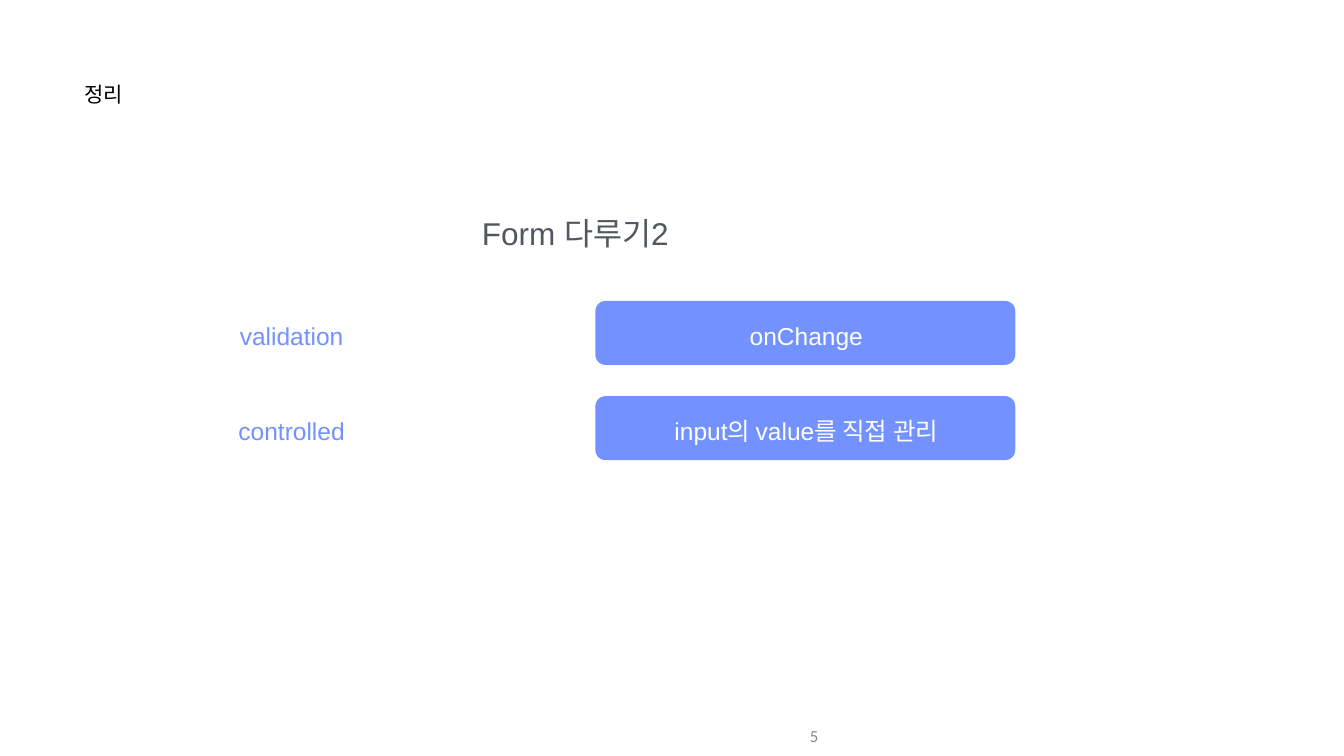
from dataclasses import dataclass

from pptx import Presentation
from pptx.dml.color import RGBColor
from pptx.enum.shapes import MSO_SHAPE
from pptx.enum.text import MSO_ANCHOR, PP_ALIGN
from pptx.slide import Slide
from pptx.util import Inches, Pt

ROUNDED = MSO_SHAPE.ROUNDED_RECTANGLE
TOP, MIDDLE = MSO_ANCHOR.TOP, MSO_ANCHOR.MIDDLE
LEFT, CENTER, RIGHT = PP_ALIGN.LEFT, PP_ALIGN.CENTER, PP_ALIGN.RIGHT

BLACK = RGBColor(0x00, 0x00, 0x00)
WHITE = RGBColor(0xFF, 0xFF, 0xFF)
BLUE = RGBColor(0x73, 0x91, 0xFF)
SLATE = RGBColor(0x53, 0x58, 0x5F)
GRAY = RGBColor(0x88, 0x88, 0x88)

FIRST_ROW_TOP = 5.97
ROW_PITCH = 1.89
TEXT_OFFSET = 0.38
BAR_LEFT, BAR_WIDTH, BAR_HEIGHT = 11.81, 8.33, 1.27


@dataclass(frozen=True)
class Box:
    left: float
    top: float
    width: float
    height: float


@dataclass(frozen=True)
class Style:
    size: int
    color: RGBColor
    align: PP_ALIGN = CENTER
    anchor: MSO_ANCHOR = MIDDLE
    font: str = "Arial"
    margin_x: float = 0.01
    margin_y: float = 0.01


@dataclass(frozen=True)
class Topic:
    term: str
    summary: str


HEADING = Style(30, BLACK, LEFT, TOP)
SUBJECT = Style(45, SLATE, anchor=TOP)
TERM = Style(35, BLUE)
SUMMARY = Style(35, WHITE)
PAGE_NUMBER = Style(24, GRAY, RIGHT, font="Calibri", margin_x=0.1, margin_y=0.05)

TOPICS = [
    Topic("validation", "onChange"),
    Topic("controlled", "input의 value를 직접 관리"),
]


def add_text(slide: Slide, text: str, box: Box, style: Style) -> None:
    frame = slide.shapes.add_textbox(
        Inches(box.left), Inches(box.top), Inches(box.width), Inches(box.height)
    ).text_frame
    frame.word_wrap = True
    frame.vertical_anchor = style.anchor
    frame.margin_left = frame.margin_right = Inches(style.margin_x)
    frame.margin_top = frame.margin_bottom = Inches(style.margin_y)
    frame.text = text
    paragraph = frame.paragraphs[0]
    paragraph.alignment = style.align
    for run in paragraph.runs:
        run.font.name = style.font
        run.font.size = Pt(style.size)
        run.font.color.rgb = style.color


def add_bar(slide: Slide, top: float) -> None:
    bar = slide.shapes.add_shape(
        ROUNDED, Inches(BAR_LEFT), Inches(top), Inches(BAR_WIDTH), Inches(BAR_HEIGHT)
    )
    bar.adjustments[0] = 0.16
    bar.shadow.inherit = False
    bar.fill.solid()
    bar.fill.fore_color.rgb = BLUE
    bar.line.fill.background()


def add_topic(slide: Slide, topic: Topic, top: float) -> None:
    """Draw one row: the term on the left, its summary on a bar to the right."""
    text_top = top + TEXT_OFFSET
    add_bar(slide, top)
    add_text(slide, topic.term, Box(2.66, text_top, 6.25, 0.62), TERM)
    add_text(slide, topic.summary, Box(11.83, text_top, BAR_WIDTH, 0.62), SUMMARY)


def main() -> None:
    presentation = Presentation()
    presentation.slide_width = Inches(26.66)
    presentation.slide_height = Inches(15)
    slide = presentation.slides.add_slide(presentation.slide_layouts[6])

    add_text(slide, "정리", Box(1.67, 1.6, 4.86, 1.18), HEADING)
    add_text(slide, "Form 다루기2", Box(2.64, 4.24, 17.54, 0.79), SUBJECT)
    for row, topic in enumerate(TOPICS):
        add_topic(slide, topic, FIRST_ROW_TOP + row * ROW_PITCH)
    add_text(slide, "5", Box(10.33, 14.21, 6, 0.79), PAGE_NUMBER)

    presentation.save("out.pptx")


if __name__ == "__main__":
    main()
